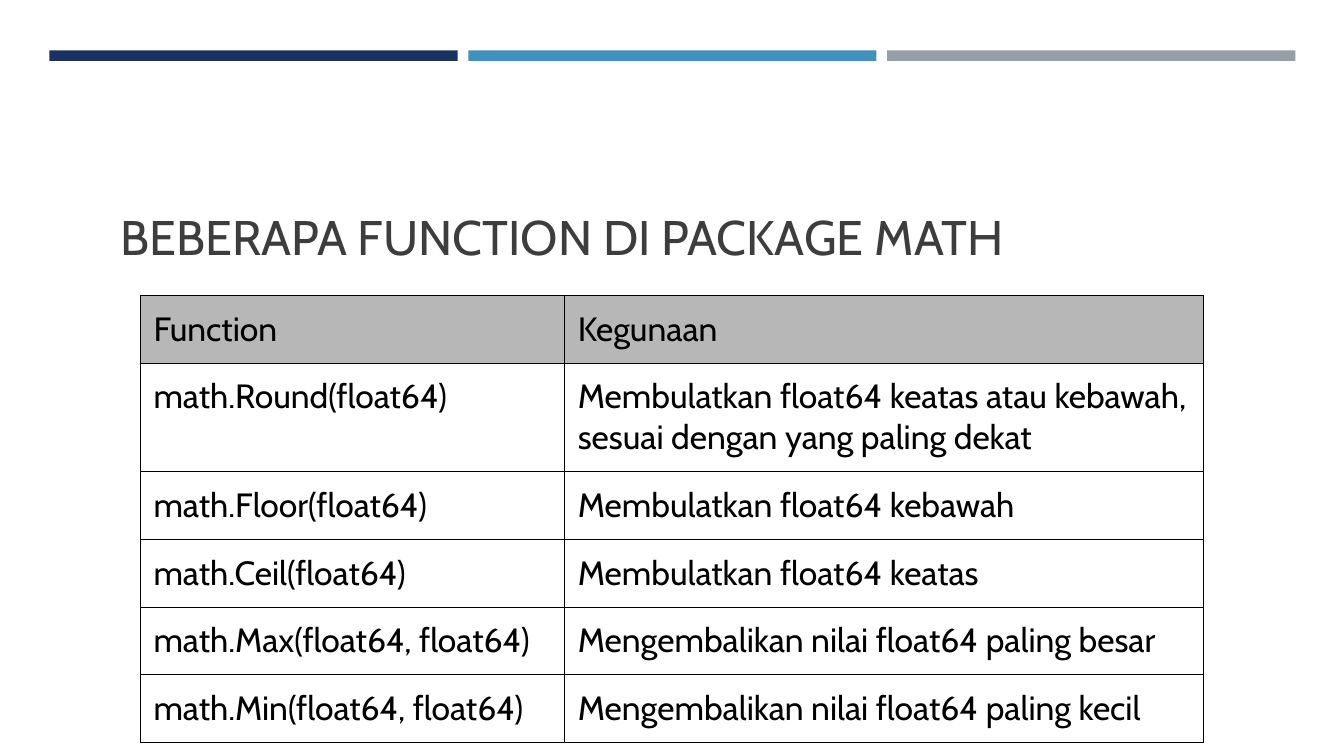
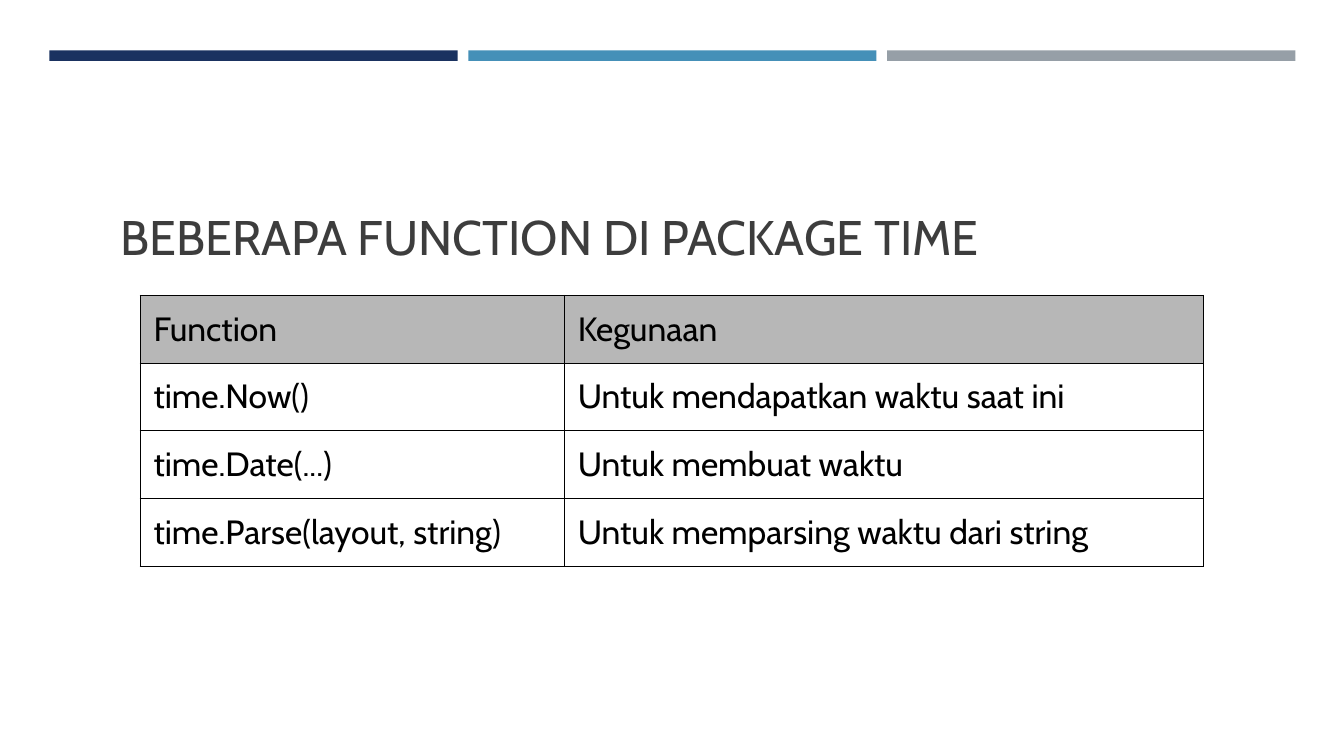
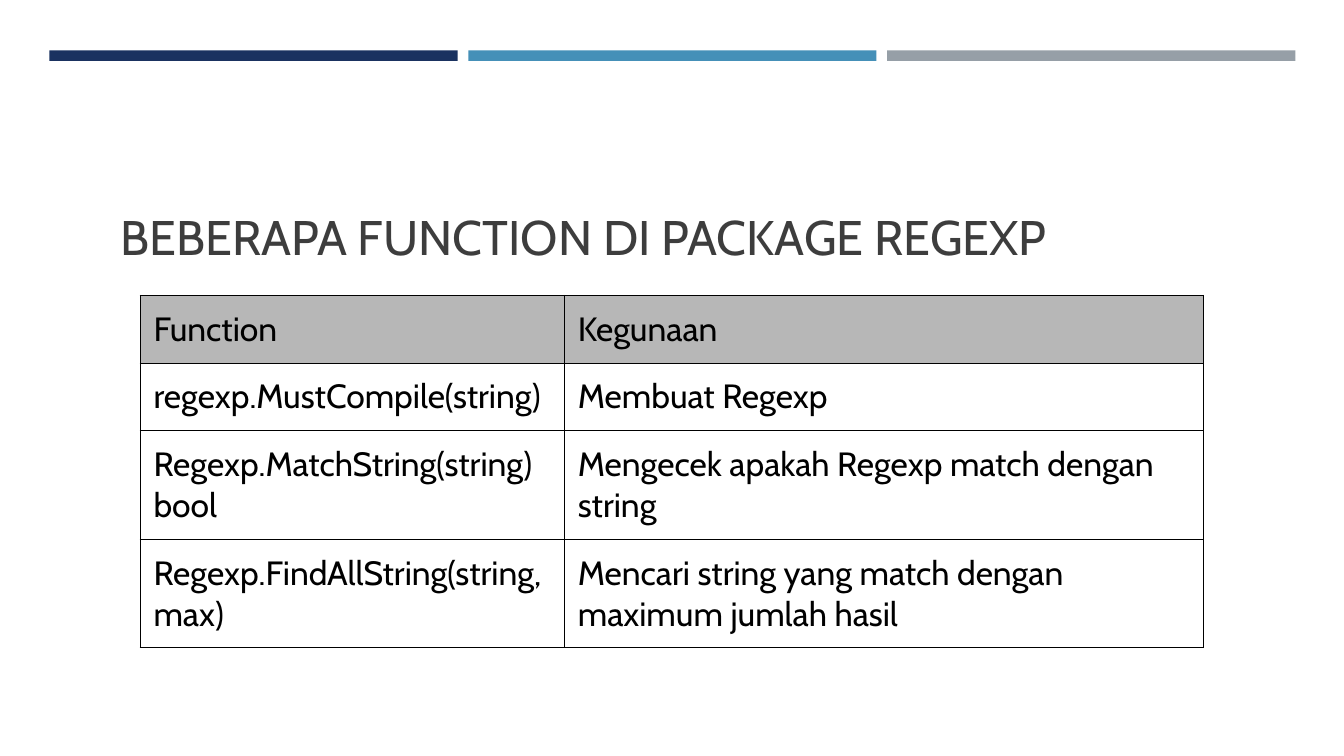
"""Build three slides listing functions of the math, time and regexp packages."""
from lxml import etree
from pptx import Presentation
from pptx.dml.color import RGBColor
from pptx.enum.shapes import MSO_SHAPE
from pptx.enum.text import MSO_ANCHOR
from pptx.oxml.ns import qn
from pptx.util import Pt

RECTANGLE = MSO_SHAPE.RECTANGLE
TOP = MSO_ANCHOR.TOP

FONT = "Cabin"
INSET = 9.6
BAND_COLORS = ("1A3260", "4590B8", "969FA7")
BAND_LEFT, BAND_TOP, BAND_WIDTH, BAND_HEIGHT = 35.3, 36, 291.6, 7.5
BAND_STEP = 299.2
TITLE_BOX = (76.3, 138.2, 807.1, 56.2)
TITLE_COLOR = "3D3D3D"
TABLE_LEFT, TABLE_TOP = 100.1, 211
COLUMN_WIDTHS = (303.1, 456.7)
ROW_HEIGHT, TALL_ROW_HEIGHT = 48.4, 77.5
HEADER = ("Function", "Kegunaan")
HEADER_FILL = "B7B7B7"
BLACK = "000000"
BORDER_WIDTH = 1
BORDER_TAGS = ("a:lnL", "a:lnR", "a:lnT", "a:lnB")


def color(value):
    """Turn a hex string into a colour."""
    return RGBColor.from_string(value)


def write_text(frame, text, size=24, fill=BLACK, font=FONT):
    """Write one formatted paragraph into a text frame."""
    frame.word_wrap = True
    run = frame.paragraphs[0].add_run()
    run.text = text
    run.font.size = Pt(size)
    run.font.name = font
    run.font.color.rgb = color(fill)


def set_insets(target):
    """Give a text frame or a cell the shared margins and top anchor."""
    target.margin_left = target.margin_right = Pt(INSET)
    target.margin_top = target.margin_bottom = Pt(INSET)
    target.vertical_anchor = TOP


def add_borders(cell):
    """Draw a thin black line on every side of a cell."""
    properties = cell._tc.get_or_add_tcPr()
    for tag in BORDER_TAGS:
        line = etree.SubElement(properties, qn(tag), w=str(Pt(BORDER_WIDTH)))
        fill = etree.SubElement(line, qn("a:solidFill"))
        etree.SubElement(fill, qn("a:srgbClr"), val=BLACK)


class Deck:
    """Hold the presentation and the current slide."""

    def __init__(self):
        """Start a wide presentation."""
        self.presentation = Presentation()
        self.presentation.slide_width = Pt(960)
        self.presentation.slide_height = Pt(540)
        self.slide = None

    def add_slide(self, title):
        """Add a slide with the shared bands and a title."""
        layout = self.presentation.slide_layouts[6]
        self.slide = self.presentation.slides.add_slide(layout)
        for index, fill in enumerate(BAND_COLORS):
            self.add_band(BAND_LEFT + index * BAND_STEP, fill)
        self.add_title(title)

    def add_band(self, left, fill):
        """Add one coloured band at the top."""
        shape = self.slide.shapes.add_shape(
            RECTANGLE, Pt(left), Pt(BAND_TOP), Pt(BAND_WIDTH), Pt(BAND_HEIGHT))
        shape.shadow.inherit = False
        shape.fill.solid()
        shape.fill.fore_color.rgb = color(fill)
        shape.line.fill.background()

    def add_title(self, text):
        """Add the slide title."""
        box = self.slide.shapes.add_textbox(*map(Pt, TITLE_BOX))
        set_insets(box.text_frame)
        write_text(box.text_frame, text, size=34.7, fill=TITLE_COLOR)

    def add_table(self, entries, tall_rows):
        """Add a bordered table with a grey header row."""
        rows = [HEADER, *entries]
        heights = [TALL_ROW_HEIGHT if index in tall_rows else ROW_HEIGHT
                   for index in range(len(rows))]
        table = self.slide.shapes.add_table(
            len(rows), len(HEADER), Pt(TABLE_LEFT), Pt(TABLE_TOP),
            Pt(sum(COLUMN_WIDTHS)), Pt(sum(heights))).table
        table.first_row = table.horz_banding = False
        for column, width in zip(table.columns, COLUMN_WIDTHS):
            column.width = Pt(width)
        for row_index, (texts, height) in enumerate(zip(rows, heights)):
            table.rows[row_index].height = Pt(height)
            for column_index, text in enumerate(texts):
                self.fill_cell(table.cell(row_index, column_index), text,
                               is_header=row_index == 0)

    def fill_cell(self, cell, text, is_header):
        """Format one table cell and write its text."""
        set_insets(cell)
        add_borders(cell)
        if is_header:
            cell.fill.solid()
            cell.fill.fore_color.rgb = color(HEADER_FILL)
        else:
            cell.fill.background()
        write_text(cell.text_frame, text)


PACKAGES = (
    ("MATH", (1,), (
        ("math.Round(float64)",
         "Membulatkan float64 keatas atau kebawah, sesuai dengan yang paling dekat"),
        ("math.Floor(float64)", "Membulatkan float64 kebawah"),
        ("math.Ceil(float64)", "Membulatkan float64 keatas"),
        ("math.Max(float64, float64)", "Mengembalikan nilai float64 paling besar"),
        ("math.Min(float64, float64)", "Mengembalikan nilai float64 paling kecil"),
    )),
    ("TIME", (), (
        ("time.Now()", "Untuk mendapatkan waktu saat ini"),
        ("time.Date(...)", "Untuk membuat waktu"),
        ("time.Parse(layout, string)", "Untuk memparsing waktu dari string"),
    )),
    ("REGEXP", (2, 3), (
        ("regexp.MustCompile(string)", "Membuat Regexp"),
        ("Regexp.MatchString(string) bool",
         "Mengecek apakah Regexp match dengan string"),
        ("Regexp.FindAllString(string, max)",
         "Mencari string yang match dengan maximum jumlah hasil"),
    )),
)

deck = Deck()
for package_name, tall_rows, entries in PACKAGES:
    deck.add_slide(f"BEBERAPA FUNCTION DI PACKAGE {package_name}")
    deck.add_table(entries, tall_rows)
deck.presentation.save("out.pptx")
